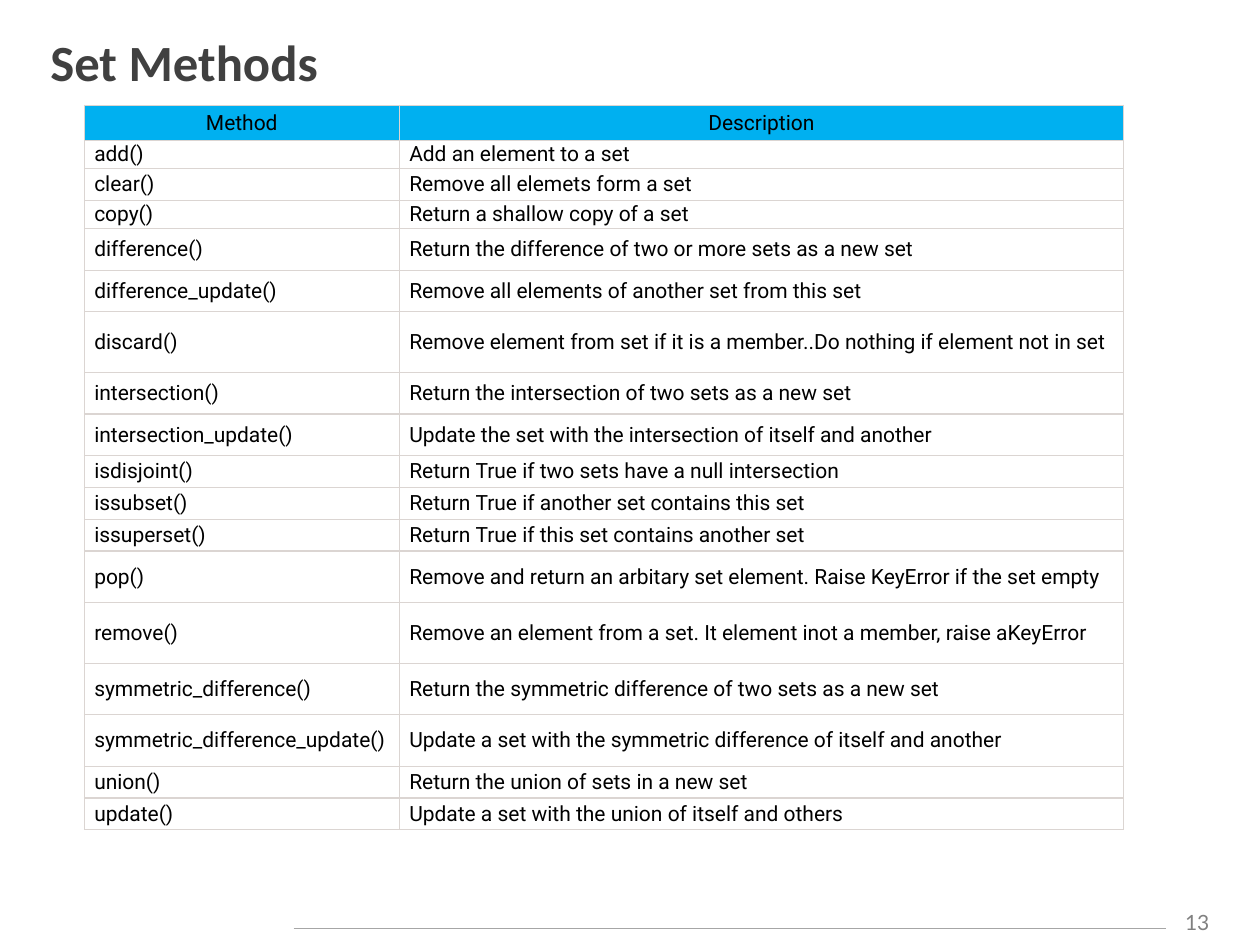
from lxml import etree
from pptx import Presentation
from pptx.dml.color import RGBColor
from pptx.enum.shapes import MSO_CONNECTOR
from pptx.enum.text import MSO_ANCHOR, MSO_AUTO_SIZE, PP_ALIGN
from pptx.oxml.ns import qn
from pptx.util import Cm, Pt

LEFT, CENTER = PP_ALIGN.LEFT, PP_ALIGN.CENTER
MIDDLE = MSO_ANCHOR.MIDDLE
NO_AUTOFIT = MSO_AUTO_SIZE.NONE
STRAIGHT = MSO_CONNECTOR.STRAIGHT

# Method, description, row height in cm
METHODS = [
    ("Method", "Description", 0.38),
    ("add()", "Add an element to a set", 0.46),
    ("clear()", "Remove all elemets form a set", 0.64),
    ("copy()", "Return a shallow copy of a set", 0.46),
    ("difference()", "Return the difference of two or more sets as a new set", 0.84),
    ("difference_update()", "Remove all elements of another set from this set", 0.84),
    ("discard()", "Remove element from set if it is a member..Do nothing if element not in set", 1.22),
    ("intersection()", "Return the intersection of two sets as a new set", 0.84),
    ("intersection_update()", "Update the set with the intersection of itself and another", 0.84),
    ("isdisjoint()", "Return\u00a0True\u00a0if two sets have a null intersection", 0.64),
    ("issubset()", "Return\u00a0True\u00a0if another set contains this set", 0.64),
    ("issuperset()", "Return\u00a0True\u00a0if this set contains another set", 0.64),
    ("pop()", "Remove and return an arbitary set element. Raise\u00a0KeyError\u00a0if the set empty", 1.04),
    ("remove()", "Remove an element from a set. It element inot a member, raise aKeyError", 1.22),
    ("symmetric_difference()", "Return the symmetric difference of two sets as a new set", 1.04),
    ("symmetric_difference_update()", "Update a set with the symmetric difference of itself and another", 1.04),
    ("union()", "Return the union of sets in a new set", 0.64),
    ("update()", "Update a set with the union of itself and others", 0.64),
]
COLUMN_WIDTHS = [6.35, 14.6]


def color(hex_value):
    """Turn a hex string into a colour."""
    return RGBColor.from_string(hex_value)


def write(frame, text, font, size, hex_value, align=LEFT, bold=False):
    """Put one formatted paragraph into a text frame."""
    frame.text = text
    paragraph = frame.paragraphs[0]
    paragraph.alignment = align
    run_font = paragraph.runs[0].font
    run_font.name, run_font.size, run_font.bold = font, Pt(size), bold
    run_font.color.rgb = color(hex_value)


prs = Presentation()
prs.slide_width, prs.slide_height = Cm(25.4), Cm(19.05)
slide = prs.slides.add_slide(prs.slide_layouts[5])

# Footer: rule and page number
footer_rule = slide.shapes.add_connector(STRAIGHT, Cm(5.92), Cm(18.72), Cm(23.5), Cm(18.72))
footer_rule.line.color.rgb = color("A6A6A6")
footer_rule.line.width = Pt(0.75)
etree.SubElement(footer_rule._element.spPr, qn("a:effectLst"))

page_number = slide.shapes.add_textbox(Cm(23.5), Cm(18.21), Cm(1.27), Cm(0.76))
page_number.text_frame.word_wrap = True
write(page_number.text_frame, "13", "Lato", 12, "808080", CENTER)

# Title
title = slide.shapes.title
title.left, title.top, title.width, title.height = Cm(0.76), Cm(0.43), Cm(23.77), Cm(1.6)
title.text_frame.auto_size = NO_AUTOFIT
title.text_frame.vertical_anchor = MIDDLE
write(title.text_frame, "Set Methods", "Calibri", 29, "404040", bold=True)

# Table of methods
table_height = sum(height for _, _, height in METHODS)
methods_table = slide.shapes.add_table(
    len(METHODS), len(COLUMN_WIDTHS), Cm(1.7), Cm(2.12),
    Cm(sum(COLUMN_WIDTHS)), Cm(table_height)).table
for column, width in zip(methods_table.columns, COLUMN_WIDTHS):
    column.width = Cm(width)

for row_index, (method, description, height) in enumerate(METHODS):
    is_header = row_index == 0
    side_margin, end_margin = (0.08, 0.1) if is_header else (0.2, 0.03)
    methods_table.rows[row_index].height = Cm(height)
    for column_index, text in enumerate((method, description)):
        cell = methods_table.cell(row_index, column_index)
        cell.margin_left = cell.margin_right = Cm(side_margin)
        cell.margin_top = cell.margin_bottom = Cm(end_margin)
        cell.vertical_anchor = MIDDLE
        write(cell.text_frame, text, "Roboto", 12, "000000", CENTER if is_header else LEFT)
        # Borders must stand before the fill in the cell properties
        for side in ("a:lnL", "a:lnR", "a:lnT", "a:lnB"):
            border = etree.SubElement(cell._tc.get_or_add_tcPr(), qn(side), w=str(Pt(0.75)))
            border_fill = etree.SubElement(border, qn("a:solidFill"))
            etree.SubElement(border_fill, qn("a:srgbClr"), val="DBD5D2")
        cell.fill.solid()
        cell.fill.fore_color.rgb = color("00B0F0" if is_header else "FFFFFF")

prs.save("out.pptx")
